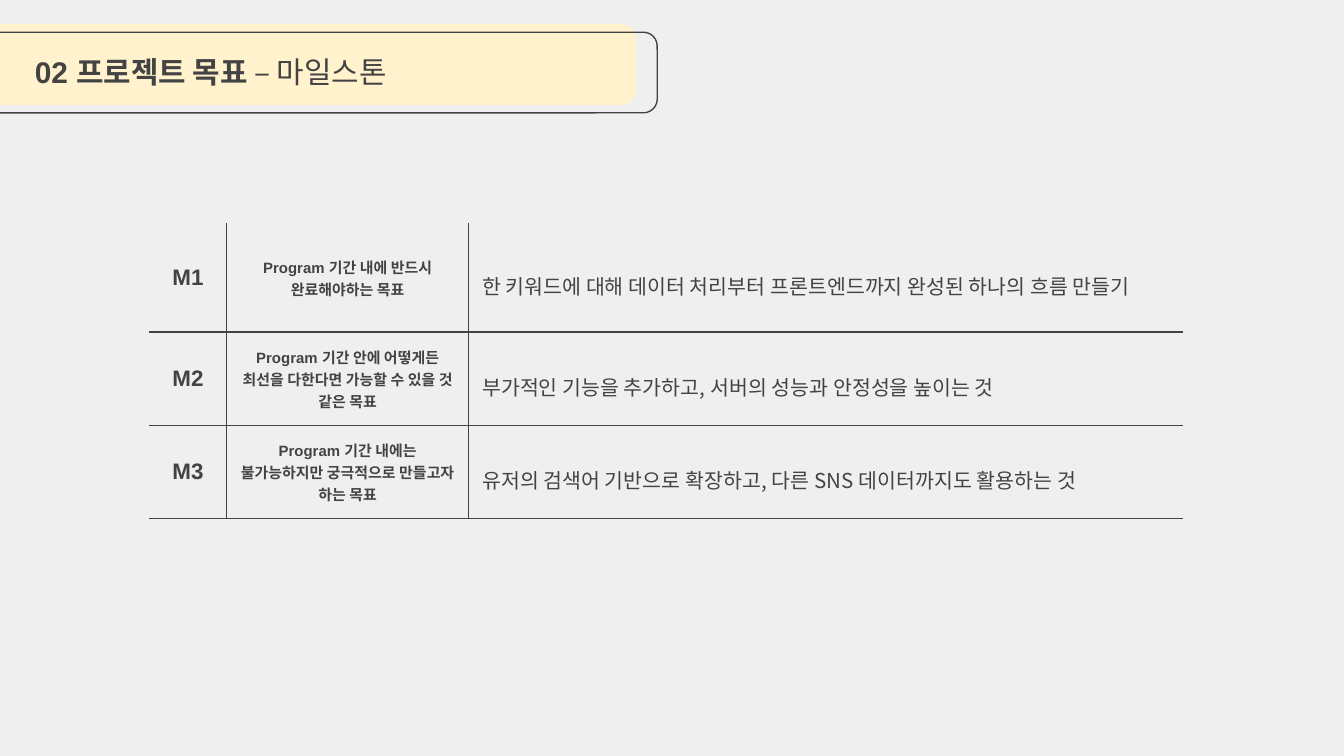
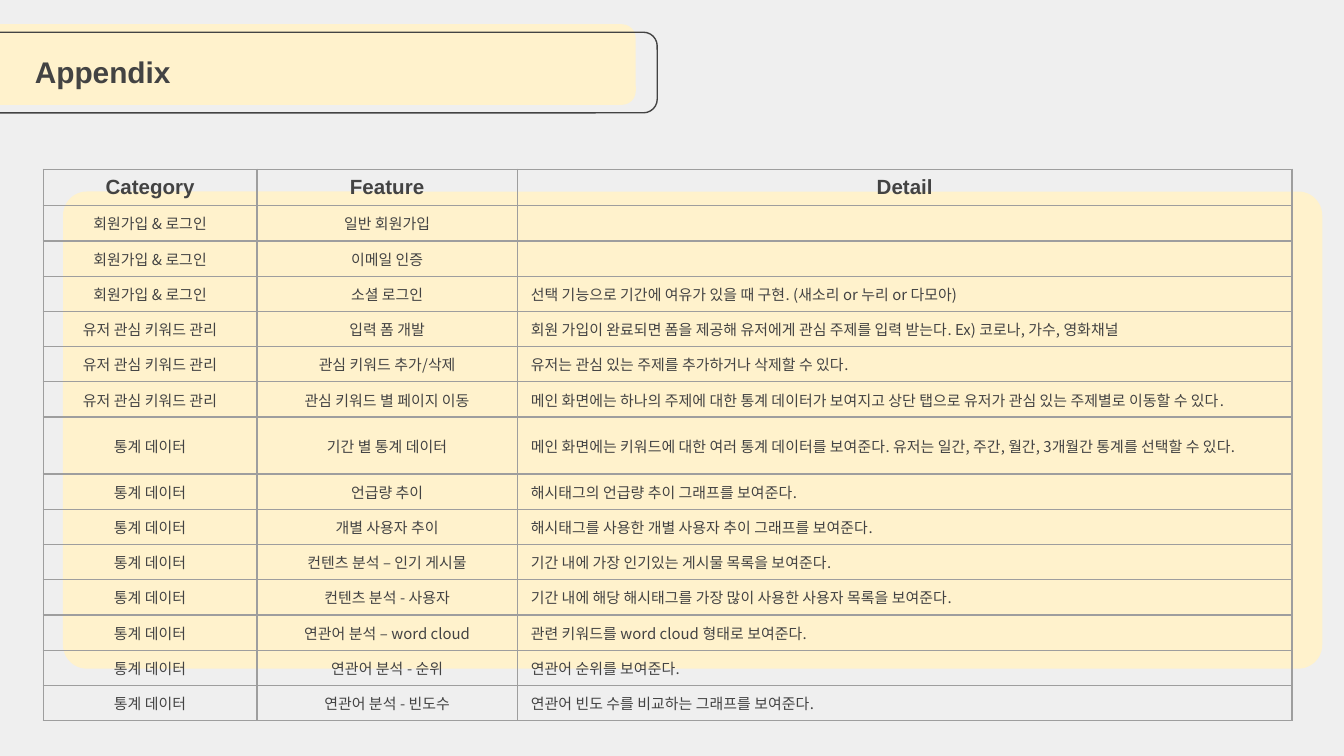
from lxml.etree import SubElement
from pptx import Presentation
from pptx.dml.color import RGBColor
from pptx.enum.shapes import MSO_SHAPE as Shape
from pptx.enum.text import MSO_ANCHOR as Anchor, MSO_AUTO_SIZE as AutoSize, PP_ALIGN as Align
from pptx.oxml import parse_xml
from pptx.oxml.ns import nsdecls, qn
from pptx.util import Pt

rgb = RGBColor.from_string
INK, CREAM, PAPER, GRID, CELL = "434343", "FFF2CC", "EFEFEF", "9E9E9E", "F3F3F3"
LATIN, KOREAN = "Arial", "Noto Sans CJK KR"


def write(paragraph, text, size, bold=False, font=KOREAN):
    if not text:
        SubElement(paragraph._p, qn("a:endParaRPr"), sz=str(size * 100))
        return
    run = paragraph.add_run()
    run.text = text
    run.font.size = Pt(size)
    run.font.bold = bold
    run.font.name = font
    run.font.color.rgb = rgb(INK)
    SubElement(run._r.get_or_add_rPr(), qn("a:ea"), typeface=KOREAN)


def draw_table(slide, left, top, widths, heights, line_color, open_sides):
    grid = slide.shapes.add_table(
        len(heights), len(widths), Pt(left), Pt(top), Pt(sum(widths)), Pt(sum(heights))
    ).table
    grid.first_row = grid.horz_banding = False
    for column, width in zip(grid.columns, widths):
        column.width = Pt(width)
    for r, height in enumerate(heights):
        grid.rows[r].height = Pt(height)
        for c in range(len(widths)):
            cell = grid.cell(r, c)
            cell.vertical_anchor = Anchor.MIDDLE
            cell.fill.background()
            hidden = {"L": c == 0, "R": c == len(widths) - 1, "T": r == 0, "B": False}
            for i, (side, outer) in enumerate(hidden.items()):
                paint = (
                    "<a:noFill/>" if open_sides and outer
                    else f'<a:solidFill><a:srgbClr val="{line_color}"/></a:solidFill>'
                )
                cell._tc.get_or_add_tcPr().insert(
                    i, parse_xml(f'<a:ln{side} w="9525" {nsdecls("a")}>{paint}</a:ln{side}>')
                )
    return grid


milestones = [
    ("M1", "Program 기간 내에 반드시 완료해야하는 목표",
     "한 키워드에 대해 데이터 처리부터 프론트엔드까지 완성된 하나의 흐름 만들기", "Roboto"),
    ("M2", "Program 기간 안에 어떻게든 최선을 다한다면 가능할 수 있을 것 같은 목표",
     "부가적인 기능을 추가하고, 서버의 성능과 안정성을 높이는 것", KOREAN),
    ("M3", "Program 기간 내에는 불가능하지만 궁극적으로 만들고자 하는 목표",
     "유저의 검색어 기반으로 확장하고, 다른 SNS 데이터까지도 활용하는 것", KOREAN),
]

features = {
    "회원가입 & 로그인": [
        ("일반 회원가입", ""),
        ("이메일 인증", ""),
        ("소셜 로그인", "선택 기능으로 기간에 여유가 있을 때 구현. (새소리 or 누리 or 다모아)"),
    ],
    "유저 관심 키워드 관리": [
        ("입력 폼 개발",
         "회원 가입이 완료되면 폼을 제공해 유저에게 관심 주제를 입력 받는다. Ex) 코로나, 가수, 영화채널"),
        ("관심 키워드 추가/삭제", "유저는 관심 있는 주제를 추가하거나 삭제할 수 있다."),
        ("관심 키워드 별 페이지 이동",
         "메인 화면에는 하나의 주제에 대한 통계 데이터가 보여지고 상단 탭으로 유저가 관심 있는 주제별로 이동할 수 있다."),
    ],
    "통계 데이터": [
        ("기간 별 통계 데이터",
         "메인 화면에는 키워드에 대한 여러 통계 데이터를 보여준다. 유저는 일간, 주간, 월간, 3개월간 통계를 선택할 수 있다."),
        ("언급량 추이", "해시태그의 언급량 추이 그래프를 보여준다."),
        ("개별 사용자 추이", "해시태그를 사용한 개별 사용자 추이 그래프를 보여준다."),
        ("컨텐츠 분석 – 인기 게시물", "기간 내에 가장 인기있는 게시물 목록을 보여준다."),
        ("컨텐츠 분석 - 사용자", "기간 내에 해당 해시태그를 가장 많이 사용한 사용자 목록을 보여준다."),
        ("연관어 분석 – word cloud", "관련 키워드를 word cloud 형태로 보여준다."),
        ("연관어 분석 - 순위", "연관어 순위를 보여준다."),
        ("연관어 분석 - 빈도수", "연관어 빈도 수를 비교하는 그래프를 보여준다."),
    ],
}

deck = Presentation()
deck.slide_width, deck.slide_height = Pt(720), Pt(405)
backdrop = deck.slide_master.background.fill
backdrop.solid()
backdrop.fore_color.rgb = rgb(PAPER)

band = [(-28, 13, 368.6, 43.2, 0.17, CREAM), (-16.5, 17.3, 368.6, 43.2, 0.17, None)]
panel = (33.8, 102.6, 674.6, 255.6, 0.05, CREAM)
pages = [
    ([("02 프로젝트 목표 ", True), ("– 마일스톤", False)], band),
    ([("Appendix", True)], [panel] + band),
]
slides = []
for heading, boxes in pages:
    slide = deck.slides.add_slide(deck.slide_layouts[5])
    slides.append(slide)
    for left, top, width, height, corner, color in boxes:
        box = slide.shapes.add_shape(
            Shape.ROUNDED_RECTANGLE, Pt(left), Pt(top), Pt(width), Pt(height)
        )
        box.adjustments[0] = corner
        box.shadow.inherit = False
        if color:
            box.fill.solid()
            box.fill.fore_color.rgb = rgb(color)
            box.line.fill.background()
        else:
            box.fill.background()
            box.line.color.rgb = rgb(INK)
            box.line.width = Pt(0.75)
    title = slide.shapes.title
    title.left, title.top, title.width, title.height = Pt(11.5), Pt(25.2), Pt(420), Pt(38)
    slide.shapes._spTree.append(title._element)
    title.text_frame.auto_size = AutoSize.NONE
    title.text_frame.vertical_anchor = Anchor.TOP
    line = title.text_frame.paragraphs[0]
    line.alignment = Align.LEFT
    for words, bold in heading:
        write(line, words, 16, bold, LATIN)

goals_slide, appendix_slide = slides

goals = draw_table(goals_slide, 79.9, 119.5, [41.6, 129.6, 382.4], [58.4, 50, 50], INK, True)
for r, (code, scope, goal, goal_font) in enumerate(milestones):
    styles = [(code, 12, True, LATIN), (scope, 8, True, LATIN), (goal, 11, False, goal_font)]
    for c, style in enumerate(styles):
        cell = goals.cell(r, c)
        cell.margin_left = cell.margin_right = cell.margin_top = cell.margin_bottom = Pt(7.2)
        cell.fill.solid()
        cell.fill.fore_color.rgb = rgb(CELL)
        tint = cell._tc.tcPr.find(qn("a:solidFill")).find(qn("a:srgbClr"))
        SubElement(tint, qn("a:alpha"), val="18000")
        line = cell.text_frame.paragraphs[0]
        if c < 2:
            line.alignment = Align.CENTER
        else:
            line.line_spacing = 1.5
        write(line, *style)

rows = [("Category", "Feature", "Detail")]
for category, entries in features.items():
    rows += [(category, feature, detail) for feature, detail in entries]
heights = [19.3] + [18.9] * 6 + [30.5] + [18.9] * 7
appendix = draw_table(appendix_slide, 23.2, 90.7, [114.5, 139.5, 415], heights, GRID, False)
for r, row in enumerate(rows):
    for c, words in enumerate(row):
        line = appendix.cell(r, c).text_frame.paragraphs[0]
        line.alignment = Align.CENTER if r == 0 or c < 2 else Align.LEFT
        if r == 0:
            write(line, words, 11, True, LATIN)
        else:
            write(line, words, 8)

deck.save("out.pptx")
